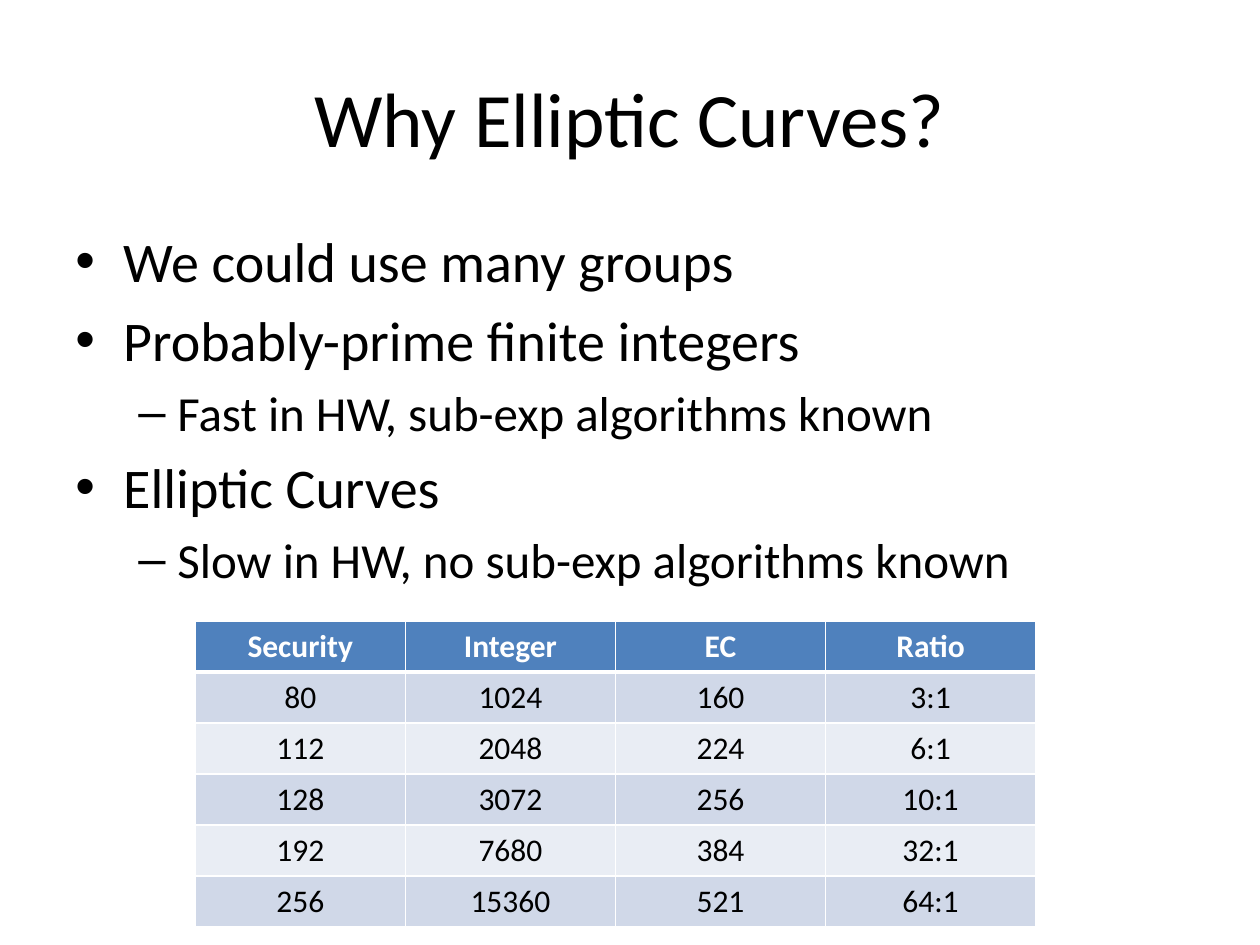
from lxml.etree import SubElement as Sub
from pptx import Presentation
from pptx.dml.color import RGBColor as Rgb
from pptx.enum.text import MSO_ANCHOR as Anchor, PP_ALIGN as Align
from pptx.oxml.ns import qn
from pptx.util import Inches, Pt

FONT = "Calibri"
HUES = {"ink": "000000", "white": "FFFFFF", "head": "4F81BD",
        "odd": "D0D8E8", "even": "E9EDF4"}
LEVELS = [
    {"size": 32, "mark": "•", "left": 0.38, "hang": 0.38},
    {"size": 28, "mark": "–", "left": 0.81, "hang": 0.31},
]
POINTS = [
    (0, "We could use many groups"),
    (0, "Probably-prime finite integers"),
    (1, "Fast in HW, sub-exp algorithms known"),
    (0, "Elliptic Curves"),
    (1, "Slow in HW, no sub-exp algorithms known"),
]
ROWS = [
    ("Security", "Integer", "EC", "Ratio"),
    ("80", "1024", "160", "3:1"),
    ("112", "2048", "224", "6:1"),
    ("128", "3072", "256", "10:1"),
    ("192", "7680", "384", "32:1"),
    ("256", "15360", "521", "64:1"),
]


def color(name):
    return Rgb.from_string(HUES[name])


def write(para, text, size=18, hue="ink", bold=False, align=Align.LEFT):
    para.alignment = align
    run = para.add_run()
    run.text = text
    font = run.font
    font.name, font.size, font.bold = FONT, Pt(size), bold
    font.color.rgb = color(hue)


def add_box(slide, left, top, width, height, anchor=Anchor.TOP):
    box = slide.shapes.add_textbox(
        Inches(left), Inches(top), Inches(width), Inches(height))
    frame = box.text_frame
    frame.word_wrap = True
    frame.vertical_anchor = anchor
    return frame


def add_bullet(para, mark, left, hang):
    props = para._p.get_or_add_pPr()
    props.set("marL", str(Inches(left)))
    props.set("indent", str(-Inches(hang)))
    Sub(props, qn("a:buFont"), typeface="Arial")
    Sub(props, qn("a:buChar"), char=mark)


def add_list(slide, points):
    frame = add_box(slide, 0.5, 1.75, 9, 4.95)
    for i, (level, text) in enumerate(points):
        para = frame.add_paragraph() if i else frame.paragraphs[0]
        look = LEVELS[level]
        para.level = level
        para.space_before = Pt(0.2 * look["size"])
        add_bullet(para, look["mark"], look["left"], look["hang"])
        write(para, text, size=look["size"])


def add_edge(cell, side, width):
    line = Sub(cell._tc.get_or_add_tcPr(), qn(f"a:ln{side}"), w=str(Pt(width)))
    fill = Sub(line, qn("a:solidFill"))
    Sub(fill, qn("a:srgbClr"), val=HUES["white"])


def add_grid(slide, rows):
    frame = slide.shapes.add_table(
        len(rows), len(rows[0]),
        Inches(1.55), Inches(4.93), Inches(6.67), Inches(2.43))
    for r, row in enumerate(rows):
        head = r == 0
        fill = "head" if head else "odd" if r % 2 else "even"
        for c, text in enumerate(row):
            cell = frame.table.cell(r, c)
            edges = {"L": 1, "R": 1, "T": 3 if r == 1 else 1,
                     "B": 3 if head else 1}
            for side, width in edges.items():
                add_edge(cell, side, width)
            cell.fill.solid()
            cell.fill.fore_color.rgb = color(fill)
            write(cell.text_frame.paragraphs[0], text, bold=head,
                  hue="white" if head else "ink", align=Align.CENTER)


def main():
    deck = Presentation()
    deck.slide_width, deck.slide_height = Inches(10), Inches(7.5)
    slide = deck.slides.add_slide(deck.slide_layouts[6])
    title = add_box(slide, 0.5, 0.3, 9, 1.25, anchor=Anchor.MIDDLE)
    write(title.paragraphs[0], "Why Elliptic Curves?", size=44,
          align=Align.CENTER)
    add_list(slide, POINTS)
    add_grid(slide, ROWS)
    deck.save("out.pptx")


if __name__ == "__main__":
    main()
